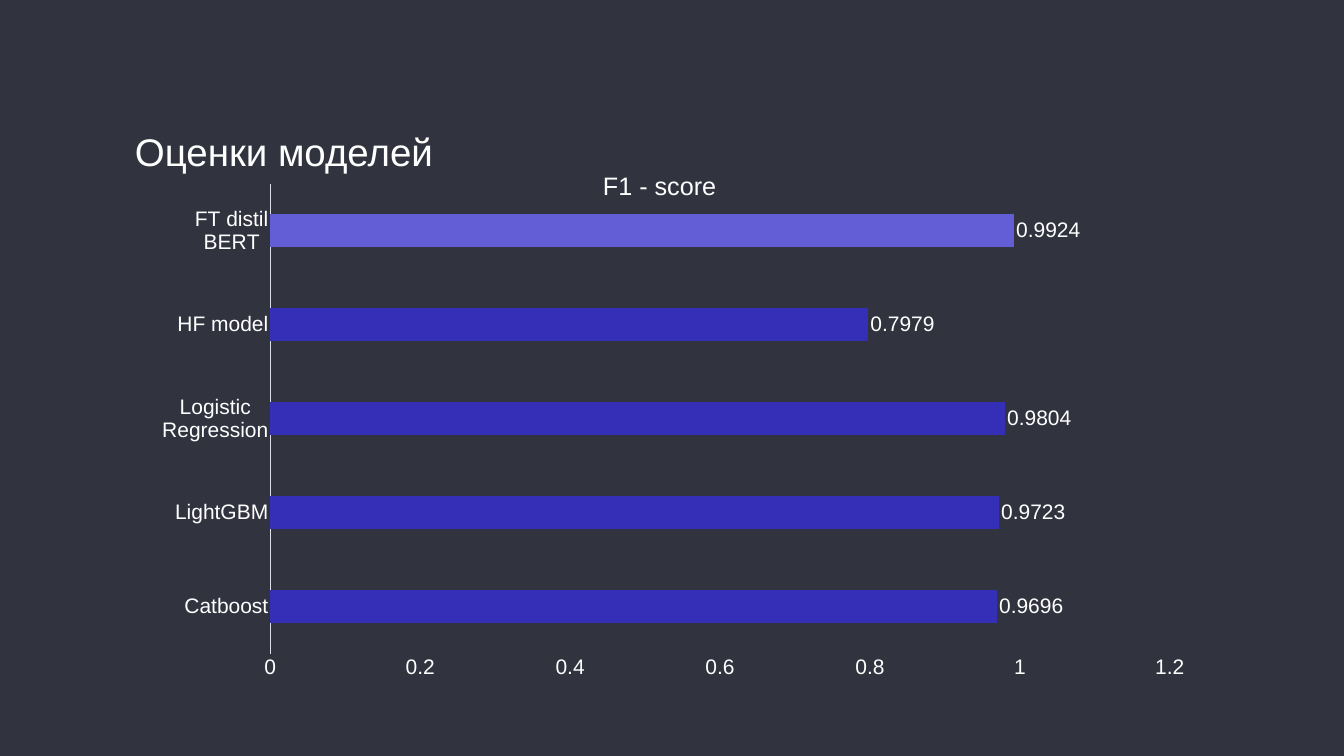
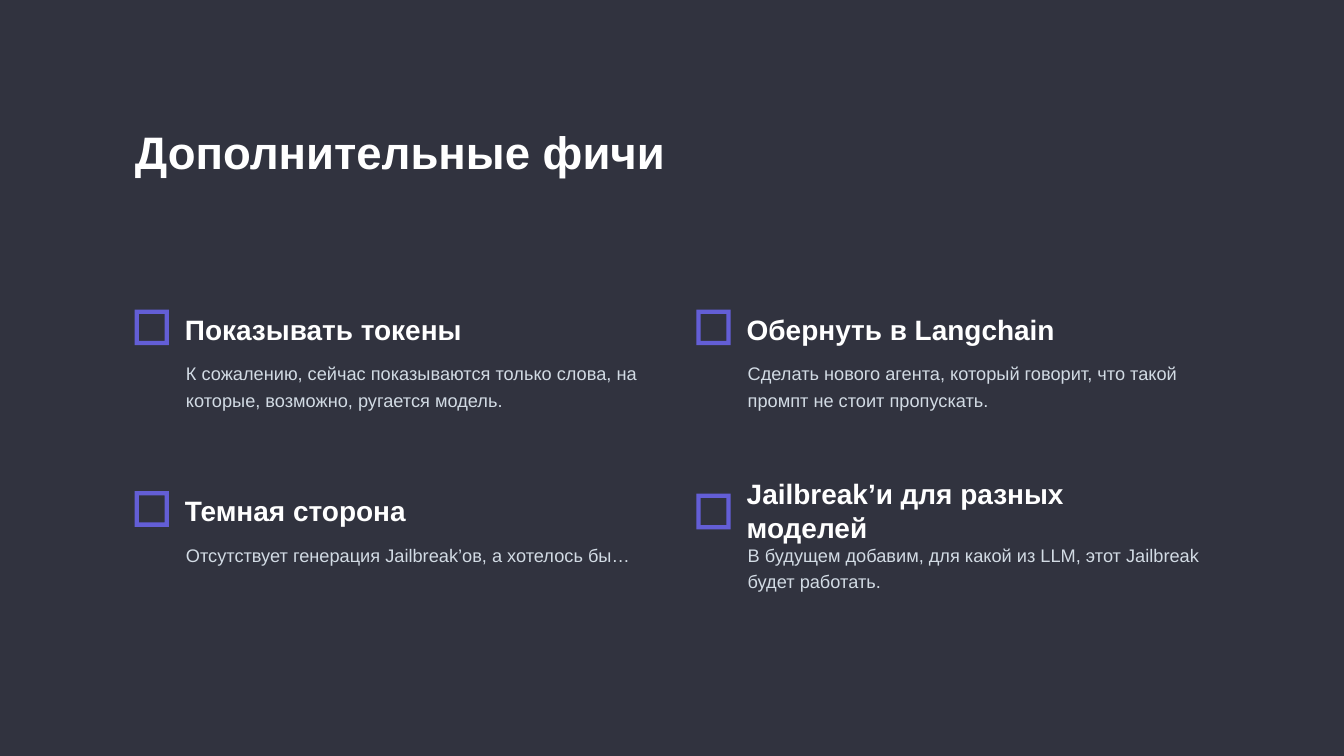
from lxml import etree
from pptx import Presentation
from pptx import util as u
from pptx.chart.data import CategoryChartData
from pptx.dml.color import RGBColor
from pptx.enum import chart as charts, shapes, text
from pptx.oxml import parse_xml
from pptx.oxml.ns import nsdecls, qn

COLORS = {
    "background": "31333F",
    "white": "FFFFFF",
    "muted": "D2DBE4",
    "accent": "635ED6",
    "bar": "352FB8",
    "axis": "DDDEE5",
}
FONT = "Arial"

SCORES = {
    "Catboost": 0.9696,
    "LightGBM": 0.9723,
    "Logistic Regression": 0.9804,
    "HF model": 0.7979,
    "FT distil BERT": 0.9924,
}
BEST_MODEL = "FT distil BERT"

# Heading, body, heading width, heading height, marker shift (cm); row by row
FEATURES = [
    ("Показывать токены",
     "К сожалению, сейчас показываются только слова, на которые, возможно, ругается модель.",
     19.1, 2.01, 0),
    ("Обернуть в Langchain",
     "Сделать нового агента, который говорит, что такой промпт не стоит пропускать.",
     19.1, 2.01, 0),
    ("Темная сторона",
     "Отсутствует генерация Jailbreak’ов, а хотелось бы…",
     19.1, 2.01, 0),
    ("Jailbreak’и для разных моделей",
     "В будущем добавим, для какой из LLM, этот Jailbreak\nбудет работать.",
     20.47, 3.71, 0.13),
]
GRID_LEFT, GRID_TOP = 6.78, 15.6
COLUMN_STEP, ROW_STEP = 28.31, 9.15


def color(name):
    return RGBColor.from_string(COLORS[name])


def style_font(font, size, fill="white", bold=False):
    font.name = FONT
    font.size = u.Pt(size)
    font.bold = bold
    font.color.rgb = color(fill)


def write(box, content, size, fill="white", bold=False,
          anchor=text.MSO_ANCHOR.MIDDLE, spacing=None):
    """Fill a box with one left-aligned paragraph; a newline is a line break."""
    frame = box.text_frame
    frame.word_wrap = True
    frame.auto_size = text.MSO_AUTO_SIZE.SHAPE_TO_FIT_TEXT
    frame.vertical_anchor = anchor
    frame.margin_left = frame.margin_right = u.Cm(0.15)
    frame.margin_top = frame.margin_bottom = u.Cm(0.15)
    para = frame.paragraphs[0]
    para.text = content
    para.alignment = text.PP_ALIGN.LEFT
    para.space_before = u.Pt(0)
    if spacing:
        para.line_spacing = spacing
    for span in para.runs:
        style_font(span.font, size, fill, bold)


def place_manually(element, index, **position):
    """Give a chart part a manual layout, as fractions of the chart area."""
    for old in element.findall(qn("c:layout")):
        element.remove(old)
    layout = parse_xml(f"<c:layout {nsdecls('c')}><c:manualLayout/></c:layout>")
    values = {"xMode": "edge", "yMode": "edge", **position}
    if "w" in position:
        values = {"layoutTarget": "inner", **values}
    for tag, value in values.items():
        etree.SubElement(layout[0], qn(f"c:{tag}")).set("val", str(value))
    element.insert(index, layout)


class Slides:
    """Holds the deck, its common style and the current page."""

    def __init__(self):
        self.deck = Presentation()
        self.deck.slide_width = u.Cm(67.73)
        self.deck.slide_height = u.Cm(38.1)
        self.page = None

    def new_page(self, title, top, width, height, size, bold=False):
        self.page = self.deck.slides.add_slide(self.deck.slide_layouts[5])
        fill = self.page.background.fill
        fill.solid()
        fill.fore_color.rgb = color("background")
        box = self.page.shapes.title
        box.left, box.top = u.Cm(6.65), u.Cm(top)
        box.width, box.height = u.Cm(width), u.Cm(height)
        write(box, title, size, bold=bold)

    def label(self, content, left, top, width, height, size, **style):
        box = self.page.shapes.add_textbox(
            u.Cm(left), u.Cm(top), u.Cm(width), u.Cm(height))
        write(box, content, size, **style)

    def marker(self, left, top):
        frame = self.page.shapes.add_shape(
            shapes.MSO_SHAPE.FRAME, u.Cm(left), u.Cm(top), u.Cm(1.73), u.Cm(1.8))
        frame.shadow.inherit = False
        frame.fill.solid()
        frame.fill.fore_color.rgb = color("accent")
        frame.line.fill.background()

    def score_chart(self, title, scores, best):
        data = CategoryChartData()
        data.categories = list(scores)
        data.add_series("Series 1", list(scores.values()))
        chart = self.page.shapes.add_chart(
            charts.XL_CHART_TYPE.BAR_CLUSTERED,
            u.Cm(6.99), u.Cm(7.21), u.Cm(52.7), u.Cm(27.61), data).chart
        style_font(chart.font, 30)
        chart.has_legend = False

        heading = chart.chart_title
        heading.text_frame.text = title
        style_font(heading.text_frame.paragraphs[0].runs[0].font, 36)
        place_manually(heading._element, 1, x=0.44, y=0.04)
        place_manually(chart._chartSpace.chart.plotArea, 0,
                       x=0.126, y=0.074, w=0.861, h=0.858)

        for axis in (chart.category_axis, chart.value_axis):
            axis.has_major_gridlines = False
            axis.major_tick_mark = axis.minor_tick_mark = charts.XL_TICK_MARK.NONE
            style_font(axis.tick_labels.font, 30)
        chart.category_axis.format.line.color.rgb = color("axis")
        chart.category_axis.format.line.width = u.Pt(0.75)
        chart.value_axis.format.line.fill.background()
        chart.value_axis.minimum_scale = 0
        chart.value_axis.maximum_scale = 1.2
        chart.value_axis.major_unit = 0.2

        plot = chart.plots[0]
        plot.gap_width = 182
        plot.vary_by_categories = False
        bars = plot.series[0]
        bars.format.fill.solid()
        bars.format.fill.fore_color.rgb = color("accent")
        for index, model in enumerate(scores):
            if model != best:
                fill = bars.points[index].format.fill
                fill.solid()
                fill.fore_color.rgb = color("bar")
        labels = bars.data_labels
        labels.show_value = True
        labels.position = charts.XL_LABEL_POSITION.OUTSIDE_END
        style_font(labels.font, 30)

    def feature(self, left, top, heading, body, width, height, shift):
        """Draw a marker, a heading centred on its row and a body below."""
        self.marker(left, top + shift)
        self.label(heading, left + 2.39, top + 0.98 - height / 2, width, height,
                   40, bold=True)
        self.label(body, left + 2.44, top + 2.31, 24.05, 2.87, 26, fill="muted",
                   anchor=text.MSO_ANCHOR.TOP, spacing=1.2)


def main():
    slides = Slides()

    slides.new_page("Оценки моделей", 6.27, 25.32, 2.64, 55)
    slides.score_chart("F1 - score", SCORES, BEST_MODEL)

    slides.new_page("Дополнительные фичи", 6.07, 33.48, 3.07, 65, bold=True)
    for index, feature in enumerate(FEATURES):
        row, column = divmod(index, 2)
        slides.feature(GRID_LEFT + column * COLUMN_STEP,
                       GRID_TOP + row * ROW_STEP, *feature)

    slides.deck.save("out.pptx")


if __name__ == "__main__":
    main()
